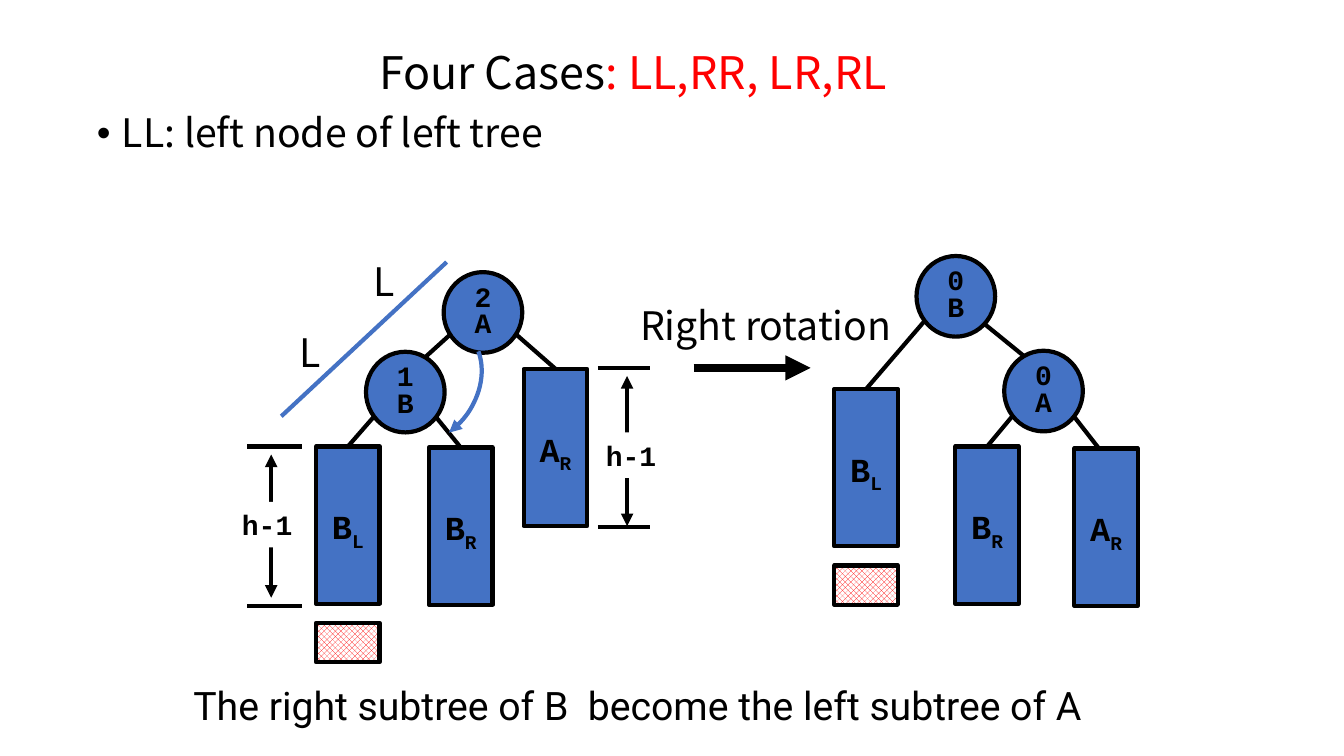
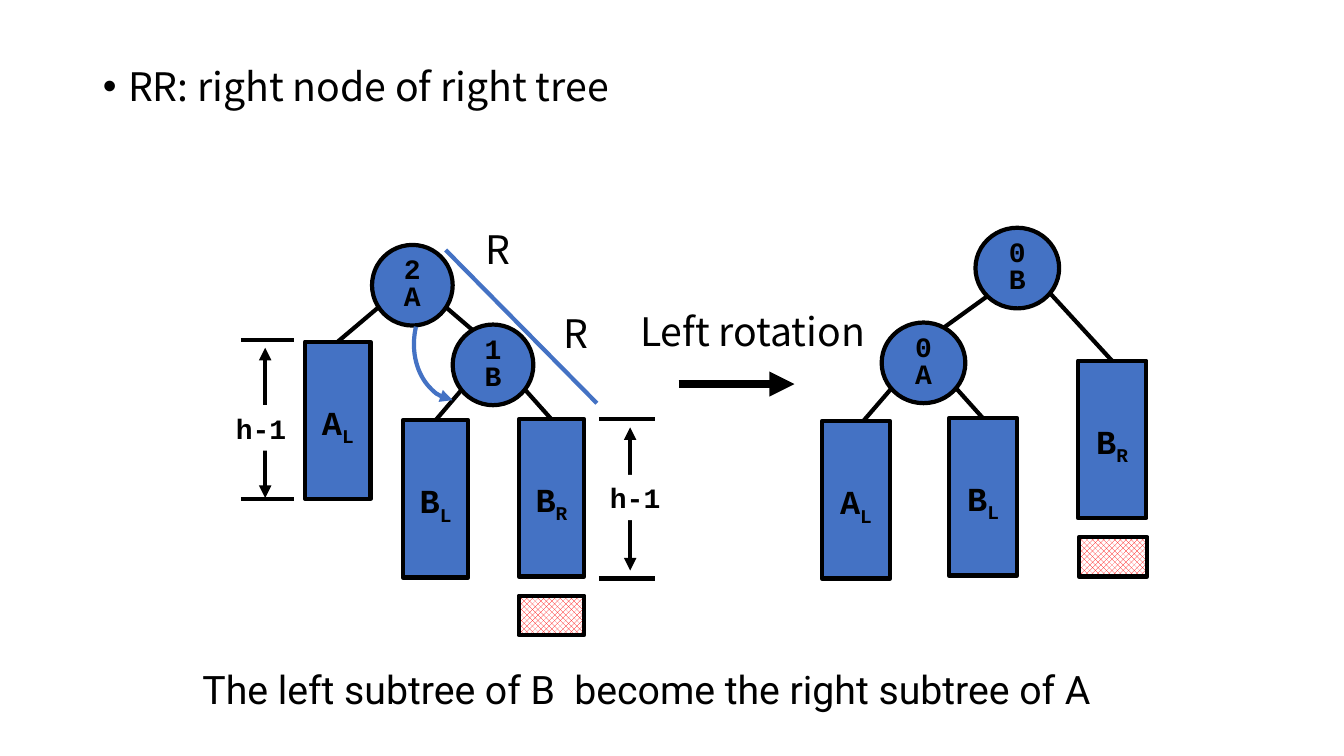
"""Two slides on AVL rebalancing: the LL and RR rotation cases."""
import dataclasses

import lxml.etree
import pptx
import pptx.dml.color
import pptx.enum.dml
import pptx.enum.shapes
import pptx.enum.text
import pptx.oxml.ns
import pptx.util

IN = pptx.util.Inches
PT = pptx.util.Pt
SHAPE = pptx.enum.shapes.MSO_SHAPE
ALIGN = pptx.enum.text.PP_ALIGN
ANCHOR = pptx.enum.text.MSO_ANCHOR


@dataclasses.dataclass(frozen=True)
class Theme:
    ink: str = "000000"
    blue: str = "4472C4"
    red: str = "FF0000"
    white: str = "FFFFFF"
    sans: str = "Noto Sans CJK SC"
    mono: str = "Courier New"
    caption: str = "Roboto"
    title_pt: int = 32
    body_pt: int = 28
    tree_pt: int = 24
    node_pt: int = 20
    line_pt: int = 3
    arrow_pt: int = 6


T = Theme()
NODE_H, LEAF_H, PATCH_H, SPAN_H = 0.8, 1.56, 0.39, 1.58
LABEL_W, LABEL_H = 0.7, 0.45
LEAF_START = (0.16, 0.07)
BEFORE = {"start": (0.16, 0.07), "end": (0.08, -0.24)}
AFTER = {"start": (0.23, 0.23), "end": (0.16, -0.32)}

SLIDES = [
    {
        "title": [("Four Cases", T.ink), (": LL,RR, LR,RL", T.red)],
        "body": ("LL: left node of left tree", 0.86, 1.08),
        "trees": [
            {"link": BEFORE, "node_w": 0.78, "leaf_w": 0.63,
             "nodes": [("2", "A", 4.79, 3.1), ("1", "B", 4.02, 3.89)],
             "leaves": [("B", "L", 1, 3.45, 4.43, 0), ("B", "R", 1, 4.57, 4.44, 0),
                        ("A", "R", 0, 5.51, 3.66, 0)],
             "patch": (3.45, 6.18)},
            {"link": AFTER, "node_w": 0.78, "leaf_w": 0.63,
             "nodes": [("0", "B", 9.48, 2.94), ("0", "A", 10.35, 3.88)],
             "leaves": [("B", "L", 0, 8.59, 3.86, 0), ("B", "R", 1, 9.79, 4.43, 0),
                        ("A", "R", 1, 10.97, 4.45, -0.07)],
             "patch": (8.59, 5.61)},
        ],
        "spans": [(5.93, 6.45, 3.65, 6.22, 1.57, 5.91, 4.29),
                  (2.45, 3, 4.43, 2.69, 1.5, 2.3, 4.98)],
        "arrow": (6.88, 3.65, 8.04, 3.65),
        "turn": ("Right rotation", 2.94),
        "arc": ((3.49, 3.07, 1.21, 1.47), 49.3, (170.76, 2.58), "tail"),
        "slope": (4.43, 2.6, 2.79, 4.13),
        "sides": ("L", [(3.61, 2.5), (2.87, 3.21)]),
        "caption": ("The right subtree of B  become the left subtree of A", 1.82, 6.71),
    },
    {
        "title": [],
        "body": ("RR: right node of right tree", 0.92, 0.62),
        "trees": [
            {"link": BEFORE, "node_w": 0.8, "leaf_w": 0.65,
             "nodes": [("2", "A", 4.09, 2.83), ("1", "B", 4.89, 3.62)],
             "leaves": [("B", "R", 1, 5.47, 4.16, 0), ("B", "L", 1, 4.32, 4.17, 0),
                        ("A", "L", 0, 3.35, 3.39, 0)],
             "patch": (5.47, 5.91)},
            {"link": AFTER, "node_w": 0.83, "leaf_w": 0.68,
             "nodes": [("0", "B", 10.09, 2.66), ("0", "A", 9.16, 3.6)],
             "leaves": [("B", "R", 0, 11.03, 3.58, 0), ("B", "L", 1, 9.75, 4.15, 0),
                        ("A", "L", 1, 8.49, 4.18, 0.07)],
             "patch": (11.04, 5.33)},
        ],
        "spans": [(2.39, 2.92, 3.37, 2.63, 1.57, 2.24, 4.02),
                  (5.94, 6.5, 4.16, 6.25, 1.5, 5.95, 4.71)],
        "arrow": (6.73, 3.81, 7.88, 3.81),
        "turn": ("Left rotation", 3),
        "arc": ((4.11, 2.75, 0.98, 1.23), 190.4, (162, 2.58), "head"),
        "slope": (5.92, 4, 4.42, 2.48),
        "sides": ("R", [(4.72, 2.19), (5.49, 3.02)]),
        "caption": ("The left subtree of B  become the right subtree of A", 1.91, 6.55),
    },
]


def rgb(value):
    return pptx.dml.color.RGBColor.from_string(value)


def style(font, size, name, color=T.ink, bold=False):
    font.size, font.name, font.bold = PT(size), name, bold
    font.color.rgb = rgb(color)


def child(parent, tag, **attrs):
    return lxml.etree.SubElement(parent, pptx.oxml.ns.qn(tag), **attrs)


def stroke(line, color, width, ends=()):
    line.color.rgb, line.width = rgb(color), PT(width)
    for end in ends:
        child(line._get_or_add_ln(), f"a:{end}End", type="triangle")


def draw_line(slide, x1, y1, x2, y2, color=T.ink, width=T.line_pt, ends=()):
    c = slide.shapes.add_connector(pptx.enum.shapes.MSO_CONNECTOR.STRAIGHT,
                                   IN(x1), IN(y1), IN(x2), IN(y2))
    stroke(c.line, color, width, ends)
    child(c._element.spPr, "a:effectLst")


def draw_shape(slide, kind, x, y, w, h, fill=None, line=T.ink, ends=()):
    sp = slide.shapes.add_shape(kind, IN(x), IN(y), IN(w), IN(h))
    if fill:
        sp.fill.solid()
        sp.fill.fore_color.rgb = rgb(fill)
    else:
        sp.fill.background()
    if line:
        stroke(sp.line, line, T.line_pt, ends)
    else:
        sp.line.fill.background()
    sp.shadow.inherit = False
    return sp


def write_inside(sp, lines, size, spacing=1.0, top=0):
    tf = sp.text_frame
    tf.word_wrap, tf.vertical_anchor = True, ANCHOR.MIDDLE
    tf.margin_left = tf.margin_right = tf.margin_bottom = 0
    tf.margin_top = IN(top)
    tf.text = "\n".join(lines)
    for p in tf.paragraphs:
        p.alignment, p.line_spacing = ALIGN.CENTER, spacing
        style(p.font, size, T.mono, bold=True)
    return tf


def draw_text(slide, text, x, y, w, font=T.sans):
    tf = slide.shapes.add_textbox(IN(x), IN(y), IN(w), IN(0.57)).text_frame
    tf.word_wrap, tf.text = True, text
    style(tf.paragraphs[0].font, T.body_pt, font)


def place(sp, x, y, w, h):
    sp.left, sp.top, sp.width, sp.height = map(IN, (x, y, w, h))
    tf = sp.text_frame
    tf.auto_size = pptx.enum.text.MSO_AUTO_SIZE.NONE
    tf.vertical_anchor, tf.word_wrap = ANCHOR.TOP, True
    p = tf.paragraphs[0]
    p.alignment, p.line_spacing, p.space_before = ALIGN.LEFT, 0.9, PT(10)
    return p


def fill_placeholders(slide, title, body):
    if title:
        p = place(slide.shapes.title, 3.66, 0.45, 6, 0.6)
        style(p.font, T.title_pt, T.sans)
        for text, color in title:
            r = p.add_run()
            r.text = text
            r.font.color.rgb = rgb(color)
    else:
        sp = slide.shapes.title._element
        sp.getparent().remove(sp)
    text, x, y = body
    p = place(slide.placeholders[1], x, y, 11.5, 0.6)
    p.text = text
    style(p.font, T.body_pt, T.sans)
    pPr = p._p.get_or_add_pPr()
    pPr.set("marL", str(IN(0.25)))
    pPr.set("indent", str(-IN(0.25)))


def draw_edge(slide, parent, offset, x, y):
    px, py = parent[2:]
    side = 1 if x > px else -1
    draw_line(slide, px + side * offset[0], py + offset[1], x, y)


def draw_tree(slide, tree):
    nodes, link = tree["nodes"], tree["link"]
    root, (_, _, cx, cy) = nodes
    side = 1 if cx > root[2] else -1
    dx, dy = link["end"]
    draw_edge(slide, root, link["start"], cx - side * dx, cy + dy)
    for _, _, parent, x, top, lean in tree["leaves"]:
        draw_edge(slide, nodes[parent], LEAF_START, x + lean, top)
    w = tree["node_w"]
    for balance, name, x, y in nodes:
        sp = draw_shape(slide, SHAPE.OVAL, x - w / 2, y - NODE_H / 2, w, NODE_H, T.blue)
        write_inside(sp, [balance, name], T.node_pt, 0.8)
    w = tree["leaf_w"]
    for name, branch, _, x, top, _ in tree["leaves"]:
        sp = draw_shape(slide, SHAPE.RECTANGLE, x - w / 2, top, w, LEAF_H, T.blue)
        p = write_inside(sp, [name], T.tree_pt, top=0.08).paragraphs[0]
        r = p.add_run()
        r.text = branch
        r._r.get_or_add_rPr().set("baseline", "-25000")
    x, top = tree["patch"]
    sp = draw_shape(slide, SHAPE.RECTANGLE, x - w / 2, top, w, PATCH_H, T.white)
    sp.fill.patterned()
    sp.fill.pattern = pptx.enum.dml.MSO_PATTERN.OUTLINED_DIAMOND
    sp.fill.fore_color.rgb, sp.fill.back_color.rgb = rgb(T.red), rgb(T.white)


def draw_span(slide, left, right, top, arrow_x, arrow_end, label_x, label_y):
    for y in (top, top + SPAN_H):
        draw_line(slide, left, y, right, y)
    draw_line(slide, arrow_x, top + 0.08, arrow_x, top + arrow_end, ends=("head", "tail"))
    sp = draw_shape(slide, SHAPE.RECTANGLE, label_x, label_y, LABEL_W, LABEL_H, T.white, None)
    write_inside(sp, ["h-1"], T.node_pt)


def draw_case(slide, case):
    fill_placeholders(slide, case["title"], case["body"])
    for tree in case["trees"]:
        draw_tree(slide, tree)
    for span in case["spans"]:
        draw_span(slide, *span)
    draw_line(slide, *case["arrow"], width=T.arrow_pt, ends=("tail",))
    turn, y = case["turn"]
    draw_text(slide, turn, 6.25, y, 2.71)
    box, angle, sweep, end = case["arc"]
    arc = draw_shape(slide, SHAPE.ARC, *box, line=T.blue, ends=(end,))
    arc.rotation = angle
    arc.adjustments[0], arc.adjustments[1] = sweep
    draw_line(slide, *case["slope"], color=T.blue)
    letter, spots = case["sides"]
    for x, y in spots:
        draw_text(slide, letter, x, y, 0.43)
    text, x, y = case["caption"]
    draw_text(slide, text, x, y, 9.7, T.caption)


def main():
    prs = pptx.Presentation()
    prs.slide_width, prs.slide_height = IN(13.33), IN(7.5)
    for case in SLIDES:
        draw_case(prs.slides.add_slide(prs.slide_layouts[1]), case)
    prs.save("out.pptx")


if __name__ == "__main__":
    main()
